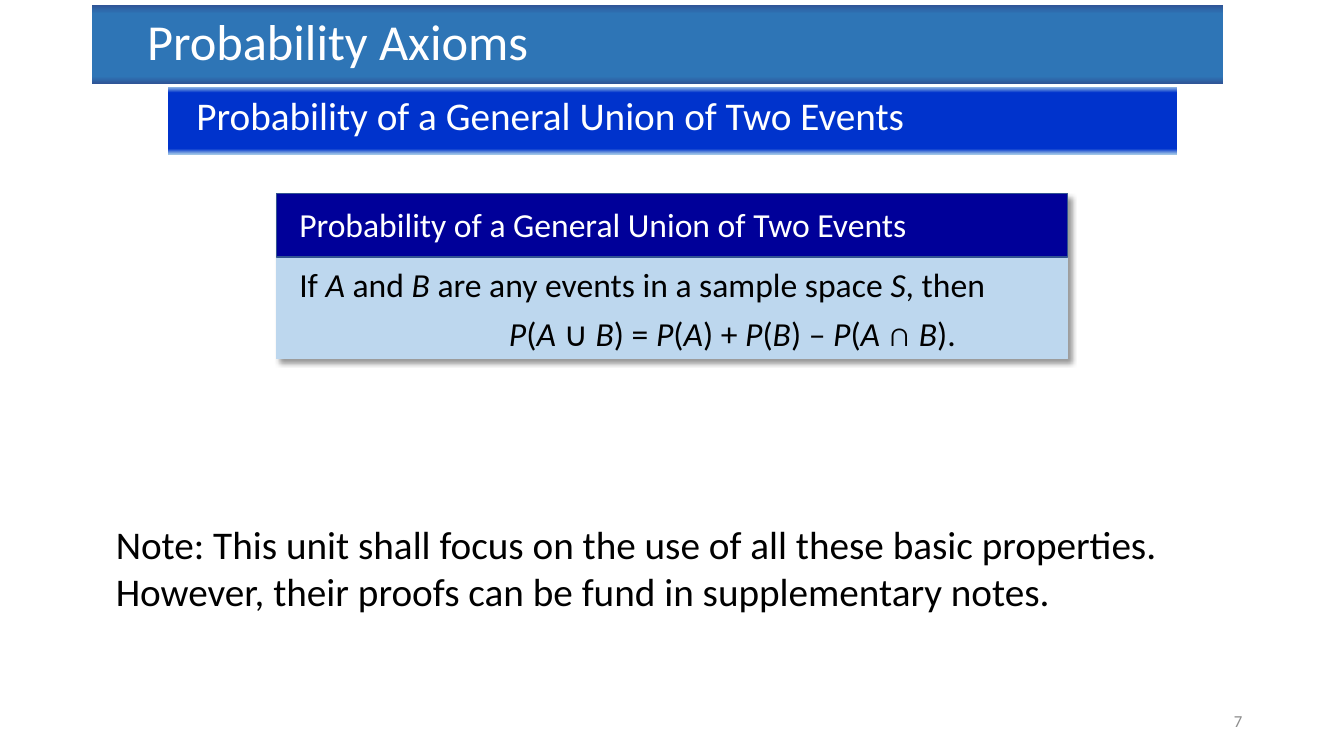
from lxml import etree
from pptx import Presentation
from pptx.dml.color import RGBColor
from pptx.enum.shapes import MSO_SHAPE as Shape
from pptx.enum.text import MSO_ANCHOR as Anchor, MSO_AUTO_SIZE as AutoSize, PP_ALIGN as Align
from pptx.oxml.ns import qn
from pptx.util import Inches, Pt

COLORS = {
    "white": "FFFFFF", "black": "000000", "gray": "8C8C8C",
    "title": "2E75B6", "title_edge": "2F5597",
    "subtitle": "0033CC", "subtitle_edge": "9DC3E6",
    "card": "BDD7EE", "header": "000099", "header_line": "325491",
}


def rgb(name):
    return RGBColor.from_string(COLORS[name])


def add_rectangle(shapes, place):
    box = shapes.add_shape(Shape.RECTANGLE, *map(Inches, place))
    box.shadow.inherit = False
    return box


def add_panel(shapes, place, fill, line):
    box = add_rectangle(shapes, place)
    box.fill.solid()
    box.fill.fore_color.rgb = rgb(fill)
    box.line.color.rgb = rgb(line)
    box.line.width = Pt(1)
    return box


def add_shadow(box):
    effects = box._element.spPr.find(qn("a:effectLst"))
    shadow = etree.SubElement(effects, qn("a:outerShdw"), blurRad=str(Pt(4)),
                              dist=str(Pt(3)), dir="2700000", algn="tl", rotWithShape="0")
    color = etree.SubElement(shadow, qn("a:srgbClr"), val=COLORS["black"])
    etree.SubElement(color, qn("a:alpha"), val="40000")


def write_paragraph(para, text, size, color, after=0, indent=0):
    """Fill a paragraph; pieces between asterisks are italic."""
    for index, piece in enumerate(text.split("*")):
        if piece:
            span = para.add_run()
            span.text = piece
            if index % 2:
                span.font.italic = True
    if indent:
        properties = para._p.get_or_add_pPr()
        properties.set("marL", str(Inches(indent)))
        properties.set("indent", "0")
    para.space_after = Pt(after)
    para.font.name = "Calibri"
    para.font.size = Pt(size)
    para.font.color.rgb = rgb(color)


def add_bar(shapes, place, text, size, indent, color, stops):
    """Title bar whose top and bottom edges blend into an edge colour."""
    bar = add_rectangle(shapes, place)
    bar.line.fill.background()
    bar.fill.gradient()
    gradient = bar._element.spPr.find(qn("a:gradFill"))
    stop_list = gradient.find(qn("a:gsLst"))
    for stop in list(stop_list):
        stop_list.remove(stop)
    for position, name in zip(stops, (color + "_edge", color, color, color + "_edge")):
        stop = etree.SubElement(stop_list, qn("a:gs"), pos=str(position * 1000))
        etree.SubElement(stop, qn("a:srgbClr"), val=COLORS[name])
    gradient.find(qn("a:lin")).set("ang", "5400000")
    frame = bar.text_frame
    frame.vertical_anchor = Anchor.TOP
    para = frame.paragraphs[0]
    para.alignment = Align.LEFT
    write_paragraph(para, text, size, "white", indent=indent)


def add_text(shapes, place, lines, size, color="black"):
    """Text box; each line is (text, space after, indent)."""
    box = shapes.add_textbox(*map(Inches, place))
    frame = box.text_frame
    frame.word_wrap = True
    frame.auto_size = AutoSize.SHAPE_TO_FIT_TEXT
    for index, (text, after, indent) in enumerate(lines):
        para = frame.add_paragraph() if index else frame.paragraphs[0]
        write_paragraph(para, text, size, color, after, indent)
    return frame


def add_rule_card(page):
    card = page.shapes.add_group_shape().shapes
    add_shadow(add_panel(card, (2.74, 1.92, 7.85, 1.64), "card", "card"))
    add_panel(card, (2.74, 1.92, 7.85, 0.63), "header", "header_line")
    add_text(card, (2.87, 1.97, 7.3, 0.5),
             [("Probability of a General Union of Two Events", 0, 0)], 24, "white")
    add_text(card, (2.87, 2.57, 7.57, 0.99), [
        ("If *A* and *B* are any events in a sample space *S*, then", 6, 0),
        ("*P*(*A *∪ *B*) = *P*(*A*) + *P*(*B*) – *P*(*A *∩ *B*).", 12, 2.08),
    ], 24)


def main():
    deck = Presentation()
    deck.slide_width, deck.slide_height = Inches(13.33), Inches(7.5)
    page = deck.slides.add_slide(deck.slide_layouts[6])

    # Slide number
    number = add_text(page.shapes, (9.42, 6.95, 3, 0.4), [("7", 0, 0)], 12, "gray")
    number.auto_size = AutoSize.NONE
    number.vertical_anchor = Anchor.MIDDLE
    number.paragraphs[0].alignment = Align.RIGHT

    # Subtitle, rule and note
    add_bar(page.shapes, (1.67, 0.86, 10, 0.67),
            "Probability of a General Union of Two Events", 28, 0.18, "subtitle", (0, 9, 92, 100))
    add_rule_card(page)
    add_text(page.shapes, (1.05, 5.11, 11.55, 1.04), [
        ("Note: This unit shall focus on the use of all these basic properties. "
         "However, their proofs can be fund in supplementary notes.", 6, 0),
    ], 28)

    # Title
    add_bar(page.shapes, (0.91, 0.05, 11.22, 0.78),
            "Probability Axioms", 36, 0.45, "title", (0, 11, 91, 100))

    deck.save("out.pptx")


if __name__ == "__main__":
    main()
